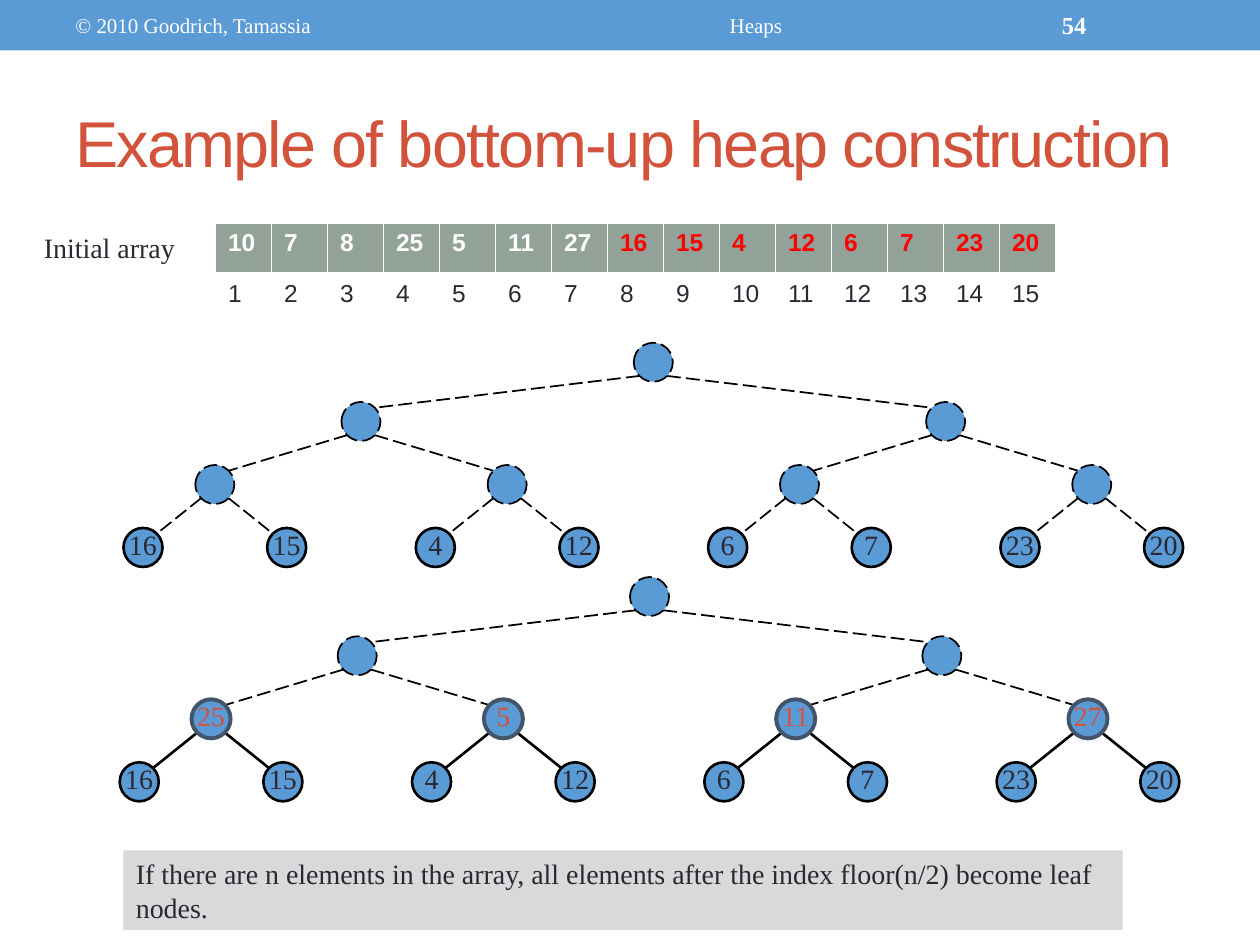
import pptx
import pptx.util
import pptx.dml.color
import pptx.enum.dml
import pptx.enum.shapes
import pptx.enum.text
import pptx.oxml
import pptx.oxml.ns

Inches, Pt = pptx.util.Inches, pptx.util.Pt
RGBColor = pptx.dml.color.RGBColor
SHAPE = pptx.enum.shapes.MSO_SHAPE
ANCHOR = pptx.enum.text.MSO_ANCHOR
ALIGN = pptx.enum.text.PP_ALIGN
DASH = pptx.enum.dml.MSO_LINE.LONG_DASH

BLUE = RGBColor(0x5B, 0x9B, 0xD5)
SLATE = RGBColor(0x44, 0x54, 0x6A)
INK = RGBColor(0x29, 0x29, 0x34)
RUST = RGBColor(0xD2, 0x53, 0x3C)
RED = RGBColor(0xFF, 0x00, 0x00)
SAGE = RGBColor(0x93, 0xA2, 0x99)
GREY = RGBColor(0xD9, 0xD9, 0xD9)
WHITE = RGBColor(0xFF, 0xFF, 0xFF)
BLACK = RGBColor(0x00, 0x00, 0x00)
SERIF, SANS = "Times New Roman", "Arial"

# Content
ARRAY = [10, 7, 8, 25, 5, 11, 27, 16, 15, 4, 12, 6, 7, 23, 20]
FIRST_LEAF = len(ARRAY) // 2 + 1
TEXTS = [  # text, box, alignment, font format
    ("© 2010 Goodrich, Tamassia", (0.5, 0.02, 3.17, 0.36), ALIGN.LEFT,
     dict(name=SERIF, size=Pt(12), color=WHITE)),
    ("Heaps", (3.75, 0.02, 4.5, 0.36), ALIGN.CENTER,
     dict(name=SERIF, size=Pt(12), color=WHITE)),
    ("54", (8.33, 0.02, 1.17, 0.36), ALIGN.LEFT,
     dict(name=SERIF, size=Pt(14), color=WHITE, bold=True)),
    ("Example of bottom-up heap construction", (0.5, 0.58, 9, 1.08), ALIGN.LEFT,
     dict(name=SANS, size=Pt(37), color=RUST, spacing=-100)),
]
NOTES = [  # text, box, fill
    ("If there are n elements in the array, all elements after the index "
     "floor(n/2) become leaf nodes.", (0.98, 6.75, 7.93, 0.63), GREY),
    ("Initial array", (0.25, 1.78, 1.32, 0.36), WHITE),
]
TREES = [  # root left and top, level tops, first labelled index
    dict(left=5.03, tops=(2.72, 3.19, 3.69, 4.19), first=8),
    dict(left=5.0, tops=(4.58, 5.05, 5.55, 6.05), first=4),
]
SPREAD = (2.32, 1.16, 0.57)  # sideways step from each level to its children
NODE = 0.31
NEAR, FAR = 0.15 * NODE, 0.85 * NODE  # diagonal points on a node's rim


def inches(values):
    return [Inches(v) for v in values]


def write(p, text, fmt, align=ALIGN.LEFT):
    p.alignment = align
    r = p.add_run()
    r.text = text
    for key, value in fmt.items():
        if key == "color":
            r.font.color.rgb = value
        elif key == "spacing":
            r.font._element.set("spc", str(value))
        else:
            setattr(r.font, key, value)


def add_filled(s, kind, box, fill):
    sp = s.shapes.add_shape(kind, *inches(box))
    sp.shadow.inherit = False
    sp.fill.solid()
    sp.fill.fore_color.rgb = fill
    sp.line.fill.background()
    return sp


def style_line(line, color, width, dashed):
    line.color.rgb = color
    line.width = Pt(width)
    if dashed:
        line.dash_style = DASH


def add_edge(s, start, end, shown):
    c = s.shapes.add_connector(pptx.enum.shapes.MSO_CONNECTOR.STRAIGHT,
                               *inches(start + end))
    c._element.spPr.append(pptx.oxml.parse_xml(
        "<a:effectLst %s/>" % pptx.oxml.ns.nsdecls("a")))
    style_line(c.line, BLACK, 1.5 if shown else 1, not shown)


def add_node(s, i, x, y, shown):
    sp = add_filled(s, SHAPE.OVAL, (x, y, NODE, NODE), BLUE)
    inner = i < FIRST_LEAF
    if not shown:
        style_line(sp.line, BLACK, 1, True)
        return
    style_line(sp.line, SLATE if inner else BLACK, 2.25 if inner else 1.5, False)
    tf = sp.text_frame
    margins = dict(margin_left=0, margin_top=0, margin_right=0,
                   margin_bottom=Inches(0.05))
    for key, value in dict(margins, word_wrap=False,
                           vertical_anchor=ANCHOR.MIDDLE).items():
        setattr(tf, key, value)
    write(tf.paragraphs[0], str(ARRAY[i - 1]),
          dict(name=SERIF, size=Pt(16), color=RUST if inner else INK), ALIGN.CENTER)


def add_tree(s, left, tops, first):
    xs = {1: left}
    for i in range(1, len(ARRAY) + 1):
        level = i.bit_length() - 1
        x, y = xs[i], tops[level]
        if i < FIRST_LEAF:
            step, below = SPREAD[level], tops[level + 1]
            xs[2 * i], xs[2 * i + 1] = x - step, x + step
            add_edge(s, (x + NEAR, y + FAR),
                     (x - step + FAR, below + NEAR), i >= first)
            add_edge(s, (x + FAR, y + FAR),
                     (x + step + NEAR, below + NEAR), i >= first)
        add_node(s, i, x, y, i >= first)


def set_borders(cell, widths):
    tcPr = cell._tc.get_or_add_tcPr()
    for n, (tag, width) in enumerate(widths.items()):
        tcPr.insert(n, pptx.oxml.parse_xml(
            '<a:%s %s w="%d"><a:solidFill><a:srgbClr val="%s"/></a:solidFill></a:%s>'
            % (tag, pptx.oxml.ns.nsdecls("a"), Pt(width), WHITE, tag)))


def add_array(s):
    n = len(ARRAY)
    table = s.shapes.add_table(2, n, *inches((1.71, 1.77, 6.67, 0.81))).table
    table.horz_banding = False
    for row in table.rows:
        row.height = Inches(0.405)
    for col in range(n):
        table.columns[col].width = Inches(6.67 / n)
        value, index = table.cell(0, col), table.cell(1, col)
        value.fill.solid()
        value.fill.fore_color.rgb = SAGE
        index.fill.background()
        set_borders(value, dict(lnL=0.96, lnR=0.96, lnT=0.96, lnB=3))
        set_borders(index, dict(lnL=0.96, lnR=0.96, lnT=3, lnB=0.96))
        fmt = dict(name=SANS, size=Pt(14))
        write(value.text_frame.paragraphs[0], str(ARRAY[col]),
              dict(fmt, bold=True, color=RED if col + 1 >= FIRST_LEAF else WHITE))
        write(index.text_frame.paragraphs[0], str(col + 1),
              dict(fmt, bold=False, color=INK))


def main():
    prs = pptx.Presentation()
    prs.slide_width, prs.slide_height = inches((10, 7.5))
    s = prs.slides.add_slide(prs.slide_layouts[6])

    # Header band, its texts and the title
    add_filled(s, SHAPE.RECTANGLE, (0, 0, 10, 0.4), BLUE)
    for text, box, align, fmt in TEXTS:
        tf = s.shapes.add_textbox(*inches(box)).text_frame
        tf.word_wrap = True
        tf.vertical_anchor = ANCHOR.MIDDLE
        write(tf.paragraphs[0], text, fmt, align)

    # Heap trees
    for tree in TREES:
        add_tree(s, **tree)

    # Array table, its label and the closing remark
    add_array(s)
    for text, box, fill in NOTES:
        tf = add_filled(s, SHAPE.RECTANGLE, box, fill).text_frame
        tf.word_wrap = True
        tf.vertical_anchor = ANCHOR.TOP
        write(tf.paragraphs[0], text, dict(name=SERIF, size=Pt(16), color=INK))

    prs.save("out.pptx")


if __name__ == "__main__":
    main()
